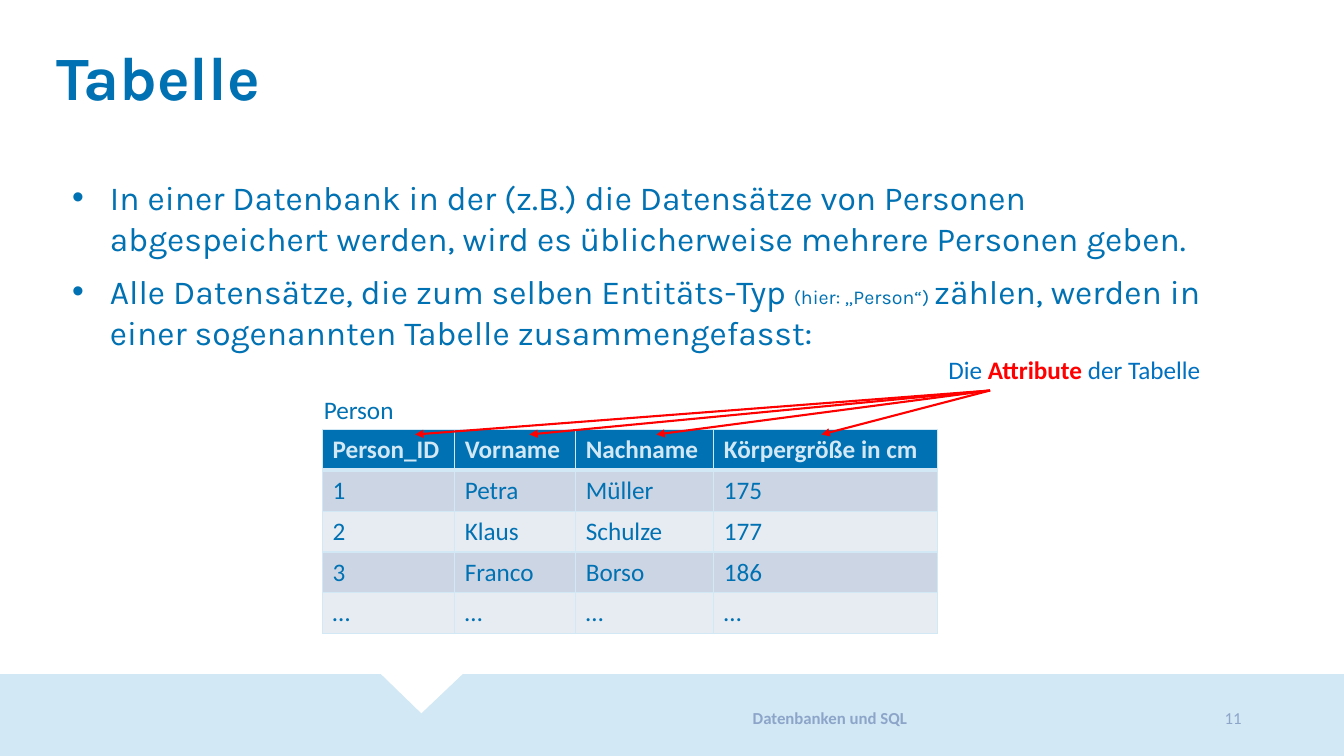
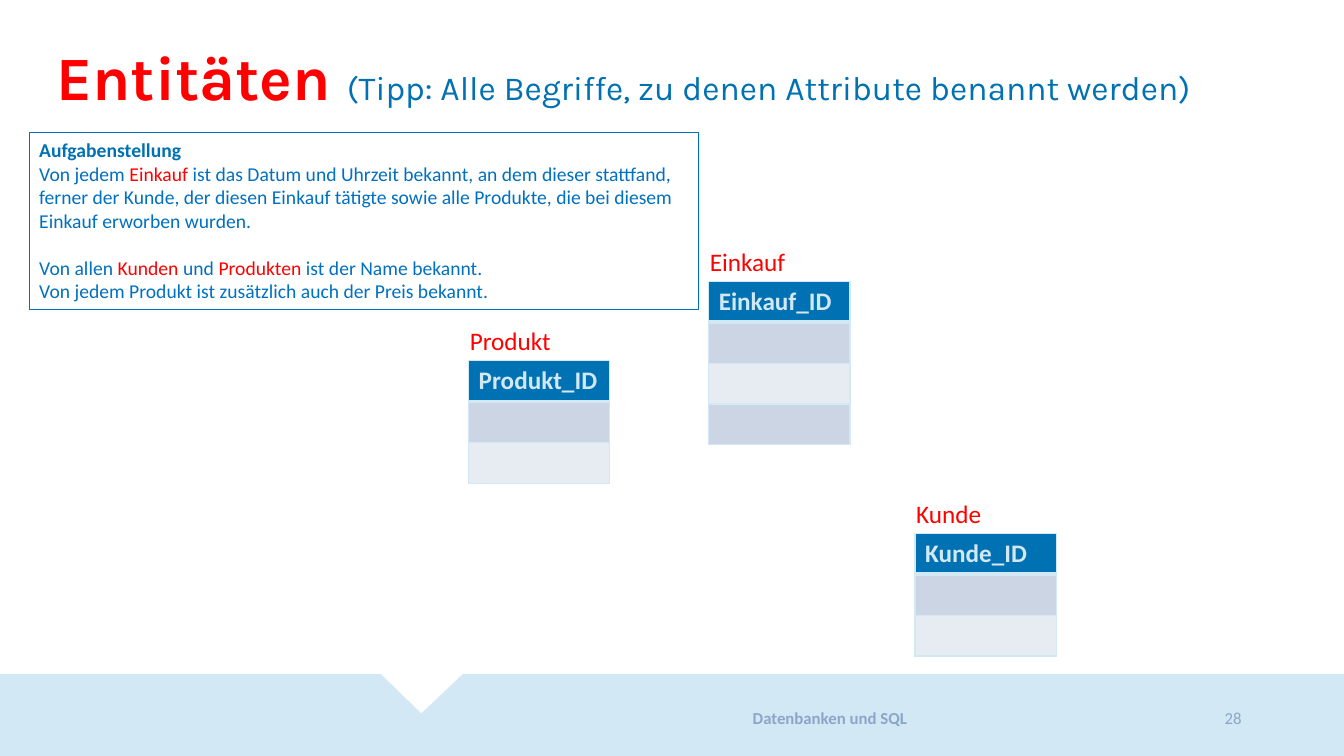
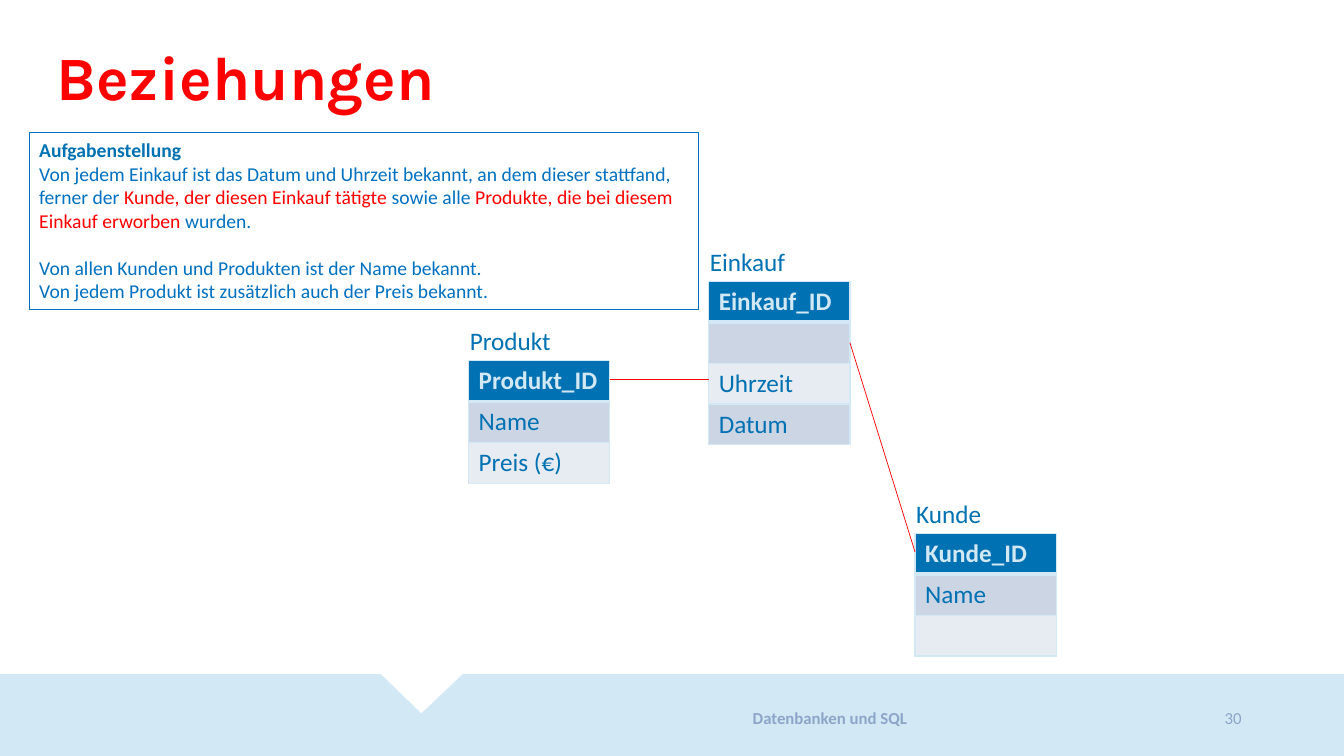
from collections import namedtuple
from dataclasses import dataclass

from lxml import etree
from pptx import Presentation, util as u
from pptx.dml import color
from pptx.enum import shapes, text
from pptx.oxml import ns

Cm, Pt = u.Cm, u.Pt
Box = namedtuple("Box", "x y w h")
Run = namedtuple("Run", "words color bold size", defaults=(None, False, None))
Entity = namedtuple("Entity", "name x y rows")


@dataclass(frozen=True)
class Theme:
    """Colours, fonts and type sizes of the deck."""
    blue: str = "0071B2"
    note_blue: str = "0070C0"
    red: str = "FF0000"
    pale: str = "D2E8F4"
    footer: str = "8CA5C9"
    bands: tuple = ("E7EBF2", "CCD5E4")
    display: str = "Karla"
    plain: str = "Calibri"
    title_size: int = 44
    body_size: int = 24
    label_size: int = 18
    note_size: int = 14
    footer_size: int = 12


T = Theme()
PAGE = Box(0, 0, 33.87, 19.05)
TITLE = Box(1.17, 1.07, 31.78, 2.01)
BAND = Box(0, 16.99, PAGE.w, PAGE.h - 16.99)
BODY = Box(1.57, 4.34, 29.44, 6.4)
NOTE = Box(0.74, 3.35, 16.87, 4.45)
ROW = 1.03
LINK_Y = 0.47
ENTITY_WIDTH = 3.56
PEOPLE = [
    ["Person_ID", "Vorname", "Nachname", "Körpergröße in cm"],
    ["1", "Petra", "Müller", "175"],
    ["2", "Klaus", "Schulze", "177"],
    ["3", "Franco", "Borso", "186"],
    ["…"] * 4,
]
PURCHASE = Entity("Einkauf", 17.86, 7.09, ["", "Uhrzeit", "Datum"])
CUSTOMER = Entity("Kunde", 23.06, 13.44, ["Name", ""])
PRODUCT = Entity("Produkt", 11.81, 9.09, ["Name", "Preis (€)"])


def rgb(code):
    """Turn a hex code into a colour."""
    return color.RGBColor.from_string(code)


def lengths(box):
    """Convert a box in centimetres to lengths."""
    return [Cm(value) for value in box]


def add_runs(paragraph, runs, font, size, shade):
    """Write runs, falling back to the given size and colour."""
    for run in runs:
        part = paragraph.add_run()
        part.text = run.words
        part.font.name = font
        part.font.size = Pt(run.size or size)
        part.font.bold = run.bold
        part.font.color.rgb = rgb(run.color or shade)


def add_text(slide, box, runs, font, size, shade, align=text.PP_ALIGN.LEFT,
             anchor=text.MSO_ANCHOR.TOP):
    """Place one paragraph in a box and return it."""
    frame = slide.shapes.add_textbox(*lengths(box)).text_frame
    frame.word_wrap = True
    frame.vertical_anchor = anchor
    line = frame.paragraphs[0]
    line.alignment = align
    add_runs(line, runs, font, size, shade)
    return line


def add_footer(slide, band, number):
    """Draw the notched band with course name and slide number."""
    notch = [(9.6, 0), (10.62, 0.99), (11.66, 0)]
    corners = [(band.w, 0), (band.w, band.h), (0, band.h)]
    outline = slide.shapes.build_freeform(Cm(band.x), Cm(band.y), scale=1.0)
    outline.add_line_segments(
        [(Cm(band.x + x), Cm(band.y + y)) for x, y in notch + corners])
    strip = outline.convert_to_shape()
    strip.shadow.inherit = False
    strip.fill.solid()
    strip.fill.fore_color.rgb = rgb(T.pale)
    strip.line.fill.background()
    fields = [
        (14.91, 12.01, Run("Datenbanken und SQL", bold=True), text.PP_ALIGN.CENTER),
        (26.92, 4.62, Run(str(number)), text.PP_ALIGN.RIGHT),
    ]
    for x, width, run, align in fields:
        add_text(slide, Box(band.x + x, band.y + 0.54, width, 1.14), [run], T.plain,
                 T.footer_size, T.footer, align, text.MSO_ANCHOR.MIDDLE)


def new_slide(deck, number, title):
    """Start a slide with its footer and title."""
    slide = deck.slides.add_slide(deck.slide_layouts[6])
    add_footer(slide, BAND, number)
    heading = add_text(slide, TITLE, title, T.display, T.title_size, T.blue)
    heading.line_spacing = 0.9
    return slide


def add_bullets(slide, box, items):
    """Write a bulleted list."""
    frame = slide.shapes.add_textbox(*lengths(box)).text_frame
    frame.word_wrap = True
    for index, runs in enumerate(items):
        item = frame.add_paragraph() if index else frame.paragraphs[0]
        props = item._p.get_or_add_pPr()
        props.set("marL", str(Cm(0.95)))
        props.set("indent", str(Cm(-0.95)))
        etree.SubElement(props, ns.qn("a:buFont"), typeface="Arial")
        etree.SubElement(props, ns.qn("a:buChar"), char="•")
        if index:
            item.space_before = Pt(9.5)
        add_runs(item, runs, T.display, T.body_size, T.blue)


def add_border(cell, row):
    """Edge a cell, with a heavy rule below the header."""
    props = cell._tc.get_or_add_tcPr()
    heavy = {(0, "lnB"), (1, "lnT")}
    for side in ("lnL", "lnR", "lnT", "lnB"):
        width = Pt(3 if (row, side) in heavy else 1)
        edge = etree.SubElement(props, ns.qn(f"a:{side}"), w=str(width))
        fill = etree.SubElement(edge, ns.qn("a:solidFill"))
        etree.SubElement(fill, ns.qn("a:srgbClr"), val=T.pale)


def add_relation(slide, x, y, name, rows, widths, name_color):
    """Draw a named table with header and banded rows."""
    add_text(slide, Box(x - 0.22, y - 1.01, 4, 1.02), [Run(name)], T.plain,
             T.label_size, name_color)
    box = Box(x, y, sum(widths), ROW * len(rows))
    grid = slide.shapes.add_table(len(rows), len(widths), *lengths(box)).table
    grid.horz_banding = False
    for column, width in zip(grid.columns, widths):
        column.width = Cm(width)
    for r, values in enumerate(rows):
        grid.rows[r].height = Cm(ROW)
        for c, value in enumerate(values):
            cell = grid.cell(r, c)
            add_border(cell, r)
            cell.fill.solid()
            cell.fill.fore_color.rgb = rgb(T.bands[r % 2] if r else T.blue)
            if value:
                add_runs(cell.text_frame.paragraphs[0], [Run(value, bold=r == 0)],
                         T.plain, T.label_size, T.blue if r else T.pale)


def add_entity(slide, entity, name_color, filled):
    """Draw an entity table, with or without its attributes."""
    rows = [[entity.name + "_ID"]] + [[row if filled else ""] for row in entity.rows]
    add_relation(slide, entity.x, entity.y, entity.name, rows, [ENTITY_WIDTH], name_color)


def add_link(slide, start, end, width, arrow=False):
    """Draw a red line, optionally with an arrowhead."""
    link = slide.shapes.add_connector(shapes.MSO_CONNECTOR.STRAIGHT,
                                      *lengths(start + end))
    link.line.color.rgb = rgb(T.red)
    link.line.width = Pt(width)
    if arrow:
        etree.SubElement(link.line._get_or_add_ln(), ns.qn("a:tailEnd"), type="triangle")
    etree.SubElement(link._element.spPr, ns.qn("a:effectLst"))


def add_assignment(slide, box, first, second):
    """Write the framed assignment as two groups of lines."""
    panel = slide.shapes.add_shape(shapes.MSO_SHAPE.RECTANGLE, *lengths(box))
    panel.shadow.inherit = False
    panel.fill.background()
    panel.line.color.rgb = rgb(T.note_blue)
    panel.line.width = Pt(0.75)
    frame = panel.text_frame
    frame.word_wrap = True
    frame.vertical_anchor = text.MSO_ANCHOR.TOP
    heading = [Run("Aufgabenstellung", T.blue, True)]
    closing = [Run("Von jedem Produkt ist zusätzlich auch der Preis bekannt.")]
    for index, runs in enumerate([heading, *first, second, closing]):
        line = frame.add_paragraph() if index else frame.paragraphs[0]
        line.alignment = text.PP_ALIGN.LEFT
        if runs is second:
            line.space_before = Pt(17)
        add_runs(line, runs, T.plain, T.note_size, T.note_blue)


def table_slide(deck):
    """Explain tables and their attributes."""
    slide = new_slide(deck, 11, [Run("Tabelle", bold=True)])
    add_bullets(slide, BODY, [
        [Run("In einer Datenbank in der (z.B.) die Datensätze von Personen "
             "abgespeichert werden, wird es üblicherweise mehrere Personen geben.")],
        [Run("Alle Datensätze, die zum selben Entitäts-Typ "),
         Run("(hier: „Person“) ", size=T.note_size),
         Run("zählen, werden in einer sogenannten Tabelle zusammengefasst:")],
    ])
    add_relation(slide, 8.13, 10.82, "Person", PEOPLE, [3.33, 3.05, 3.48, 5.64], T.blue)
    add_text(slide, Box(23.65, 8.81, 8, 1.02),
             [Run("Die "), Run("Attribute ", T.red, True), Run("der Tabelle")],
             T.plain, T.label_size, T.note_blue)
    for target in (10.46, 13.34, 16.54, 20.7):
        add_link(slide, (24.95, 9.84), (target, 10.95), 1.5, arrow=True)


def entities_slide(deck):
    """Mark the entities in the assignment."""
    slide = new_slide(deck, 28, [
        Run("Entitäten ", T.red, True),
        Run("(Tipp: Alle Begriffe, zu denen Attribute benannt werden)", size=T.body_size),
    ])
    for entity in (PURCHASE, CUSTOMER, PRODUCT):
        add_entity(slide, entity, T.red, filled=False)
    add_assignment(slide, NOTE, [
        [Run("Von jedem "), Run("Einkauf", T.red),
         Run(" ist das Datum und Uhrzeit bekannt, an dem dieser stattfand,")],
        [Run("ferner der Kunde, der diesen Einkauf tätigte sowie alle Produkte, "
             "die bei diesem Einkauf erworben wurden.")],
    ], [Run("Von allen "), Run("Kunden", T.red), Run(" und "), Run("Produkten", T.red),
        Run(" ist der Name bekannt.")])


def relations_slide(deck):
    """Link the entities by their relations."""
    slide = new_slide(deck, 30, [Run("Beziehungen", T.red, True)])
    for entity in (PURCHASE, CUSTOMER, PRODUCT):
        add_entity(slide, entity, T.blue, filled=True)
    product_y = PRODUCT.y + LINK_Y
    add_link(slide, (PRODUCT.x + ENTITY_WIDTH, product_y), (PURCHASE.x, product_y), 0.5)
    add_link(slide, (PURCHASE.x + ENTITY_WIDTH, PURCHASE.y + 1.5 * ROW),
             (CUSTOMER.x, CUSTOMER.y + LINK_Y), 0.5)
    add_assignment(slide, NOTE, [
        [Run("Von jedem Einkauf ist das Datum und Uhrzeit bekannt, "
             "an dem dieser stattfand,")],
        [Run("ferner der "), Run("Kunde, der diesen Einkauf tätigte ", T.red),
         Run("sowie alle "), Run("Produkte, die bei diesem Einkauf erworben", T.red),
         Run(" wurden.")],
    ], [Run("Von allen Kunden und Produkten ist der Name bekannt.")])


def main():
    """Build and save the deck."""
    deck = Presentation()
    deck.slide_width, deck.slide_height = Cm(PAGE.w), Cm(PAGE.h)
    for build in (table_slide, entities_slide, relations_slide):
        build(deck)
    deck.save("out.pptx")


if __name__ == "__main__":
    main()
